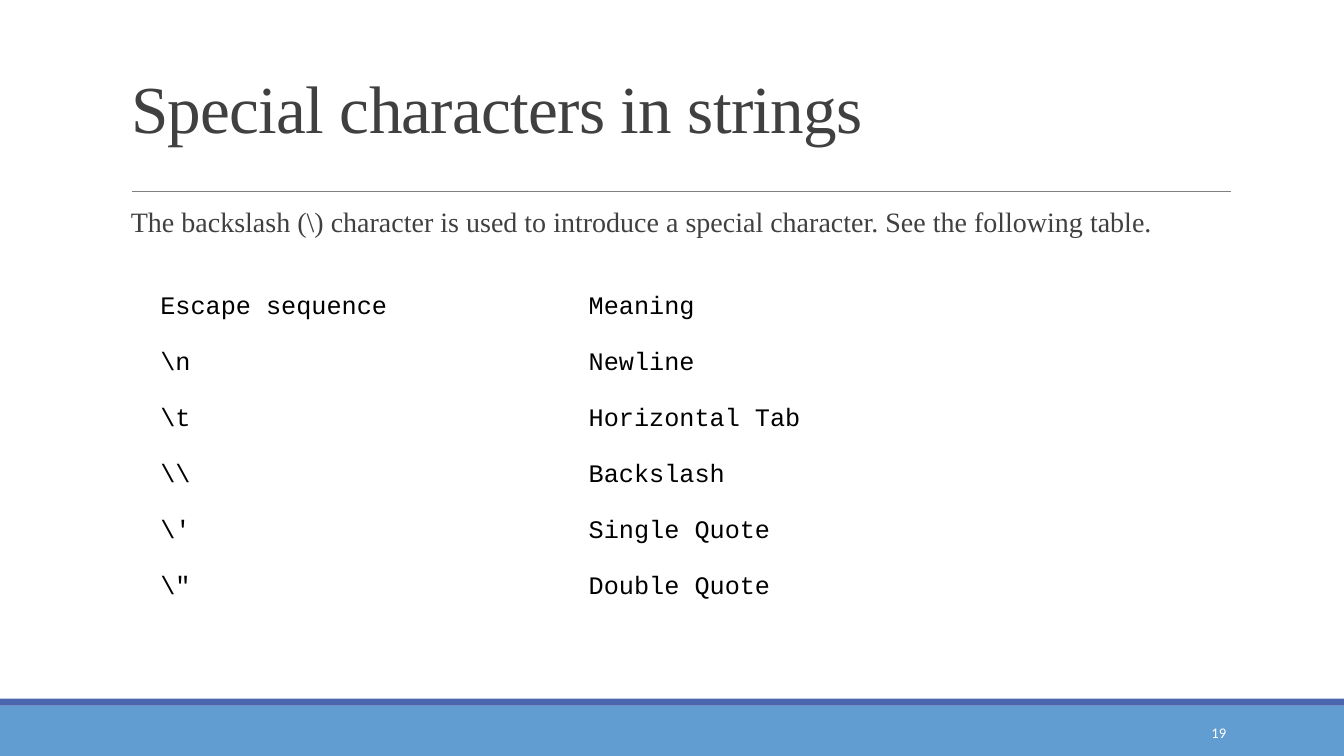
"""Build a slide that lists the escape sequences for special characters in strings."""
from lxml.etree import SubElement
from pptx import Presentation
from pptx.dml.color import RGBColor
from pptx.enum.shapes import MSO_CONNECTOR, MSO_SHAPE
from pptx.enum.text import MSO_ANCHOR, MSO_AUTO_SIZE, PP_ALIGN
from pptx.oxml.ns import qn
from pptx.util import Pt

COLORS = {
    "band": "629DD1",
    "stripe": "4A66AC",
    "rule": "808080",
    "text": "404040",
    "table": "000000",
    "number": "FFFFFF",
}
ESCAPES = [
    ("Escape sequence", "Meaning"),
    (r"\n", "Newline"),
    (r"\t", "Horizontal Tab"),
    ("\\\\", "Backslash"),
    (r"\'", "Single Quote"),
    (r'\"', "Double Quote"),
]


def write(tf, text, font="Times New Roman", size=20, color="text",
          align=PP_ALIGN.LEFT, anchor=MSO_ANCHOR.TOP, line_spacing=1.0):
    tf.word_wrap = True
    tf.vertical_anchor = anchor
    p = tf.paragraphs[0]
    p.alignment = align
    p.line_spacing = line_spacing
    r = p.add_run()
    r.text = text
    r.font.name = font
    r.font.size = Pt(size)
    r.font.color.rgb = RGBColor.from_string(COLORS[color])
    return r


prs = Presentation()
prs.slide_width, prs.slide_height = Pt(960), Pt(540)
s = prs.slides.add_slide(prs.slide_layouts[5])

for name, top, height in [("band", 504, 36), ("stripe", 499, 5)]:
    sp = s.shapes.add_shape(MSO_SHAPE.RECTANGLE, 0, Pt(top), Pt(960), Pt(height))
    sp.shadow.inherit = False
    sp.fill.solid()
    sp.fill.fore_color.rgb = RGBColor.from_string(COLORS[name])
    sp.line.fill.background()

rule = s.shapes.add_connector(MSO_CONNECTOR.STRAIGHT, Pt(94.3), Pt(136.5), Pt(879), Pt(136.5))
rule.line.color.rgb = RGBColor.from_string(COLORS["rule"])
rule.line.width = Pt(0.5)
SubElement(rule.element.spPr, qn("a:effectLst"))

title = s.shapes.title
title.left, title.top, title.width, title.height = Pt(86.4), Pt(22.5), Pt(792), Pt(114)
title.text_frame.auto_size = MSO_AUTO_SIZE.NONE
r = write(title.text_frame, "Special characters in strings", size=48,
          anchor=MSO_ANCHOR.MIDDLE, line_spacing=0.9)
r.font._element.set("spc", "-50")

body = s.shapes.add_textbox(Pt(86.4), Pt(145), Pt(808), Pt(341))
write(body.text_frame, "The backslash (\\) character is used to introduce a special character. "
      "See the following table.", line_spacing=0.9)

number = s.shapes.add_textbox(Pt(780), Pt(508.6), Pt(103), Pt(28.8))
write(number.text_frame, "19", font="Calibri", size=10.5, color="number",
      align=PP_ALIGN.RIGHT, anchor=MSO_ANCHOR.MIDDLE)

table = s.shapes.add_table(len(ESCAPES), 2, Pt(110), Pt(205), Pt(612), Pt(240)).table
table.first_row = table.horz_banding = False
for i, row in enumerate(ESCAPES):
    for j, text in enumerate(row):
        cell = table.cell(i, j)
        cell.fill.background()
        cell.margin_left = cell.margin_right = cell.margin_top = cell.margin_bottom = Pt(4.5)
        write(cell.text_frame, text, font="Courier New", size=18, color="table")

prs.save("out.pptx")
